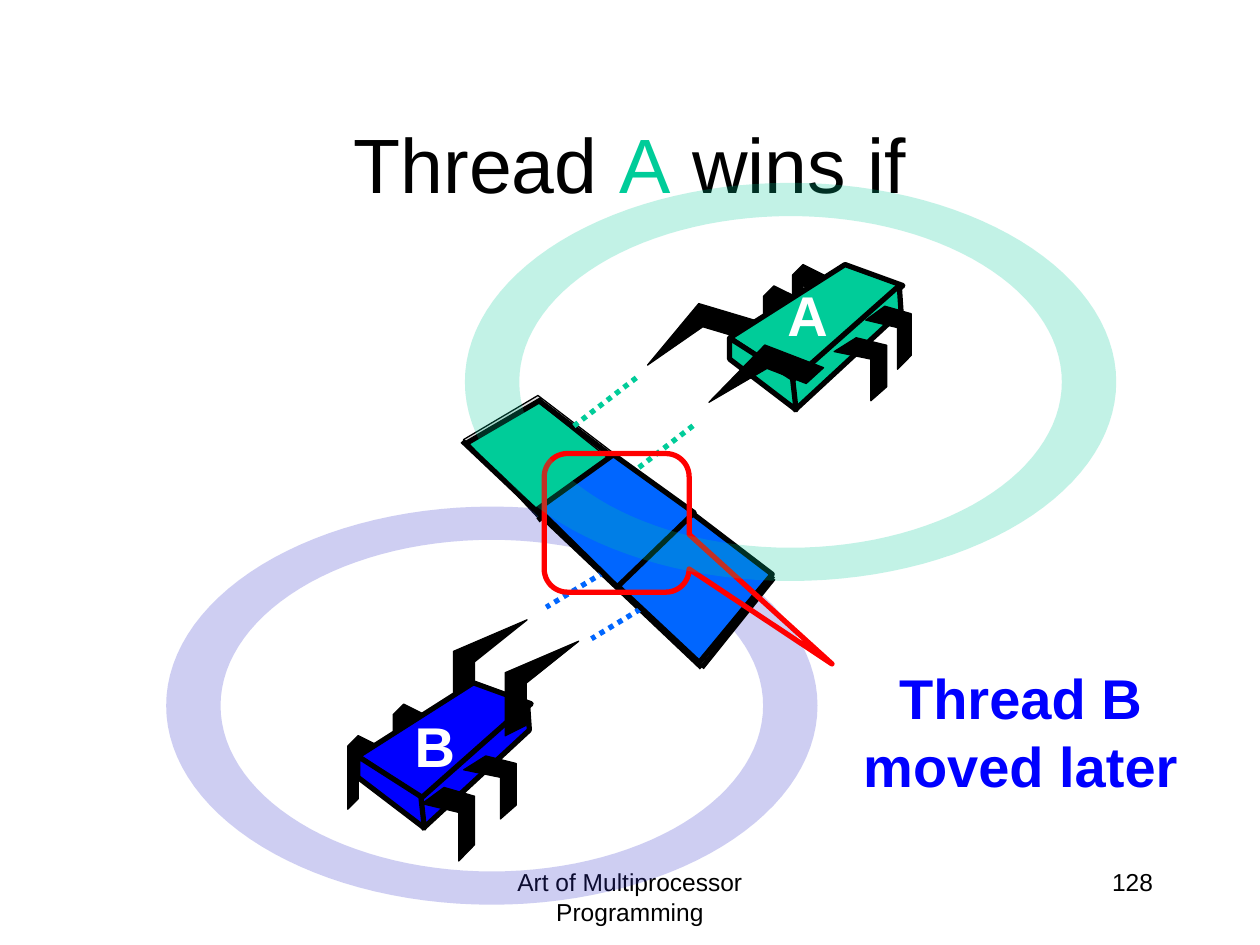
"""Builds the slide that shows when thread A wins."""
import math

from lxml import etree
from pptx import Presentation
from pptx import util as u
from pptx.dml.color import RGBColor
from pptx.enum import dml, shapes, text
from pptx.oxml.ns import qn

COLORS = {"green": "00CC99", "blue": "0066FF", "deep": "0000FF", "navy": "3333CC",
          "gray": "DDDDDD", "black": "000000", "white": "FFFFFF", "red": "FF0000"}
ALIGN = text.PP_ALIGN

BODY = [[(66, 0), (0, 42), (37.5, 67), (99, 12)],
        [(97, 12), (36, 66), (37.5, 83), (98, 27)],
        [(0, 42), (0, 54), (38, 83), (36, 65)]]
BACK_LEG = [(18, 6), (6, 0), (0, 6), (0, 42), (6, 36), (6, 12), (18, 18)]
FRONT_LEG = [(0.42, 0), (0, 0.22), (0.7, 0.34), (0.7, 1), (1, 0.78), (1, 0.12)]
CLAW = [(0, 54), (12, 48), (12, 24), (42, 0), (0, 18)]

BASE_CELLS = [
    ("gray", [(43.2, 0), (0.7, 25.2), (134.6, 151.2), (177.1, 102.2)]),
    ("green", [(44.6, 67.7), (90, 112.3), (133.2, 69.8), (87.8, 36.7)]),
    ("green", [(43.2, 3.6), (2.9, 26.6), (43.2, 69.8), (86.4, 38.2)]),
    ("gray", [(132.5, 69.8), (88.6, 110.9), (137.5, 151.2), (177.8, 105.1)])]
TAKEN_CELLS = [
    ("blue", [(87.8, 108), (135.4, 152.6), (177.1, 102.2), (131, 67)]),
    ("blue", [(43.2, 64.8), (88.6, 109.4), (132.5, 67), (86.4, 33.8)])]
EDGES = [((0, 26), (136.8, 155.5)), ((44.6, 3.6), (177.8, 105.1)),
         ((2.2, 27.4), (45.4, 2.2)), ((136.8, 155.5), (177.8, 104.4)),
         ((90, 110.9), (134.6, 71.3)), ((43.2, 71.3), (87.8, 38.2))]
TETHERS = [("green", (99.4, -10.1), (-50.4, 38.9)), ("green", (131.8, 17.3), (-50.4, 38.9)),
           ("blue", (101.5, 88.6), (-53.6, 32.4)), ("blue", (127.4, 106.6), (-53.6, 32.4))]


def rgb(name):
    """Return the named color."""
    return RGBColor.from_string(COLORS[name])


def shift(points, left, top):
    """Move points by an offset and turn them into lengths."""
    return [(u.Pt(left + x), u.Pt(top + y)) for x, y in points]


def outline(parent, contours, fill, width):
    """Draw closed contours as one filled shape."""
    builder = parent.shapes.build_freeform(*contours[0][0], scale=1.0)
    for index, contour in enumerate(contours):
        if index:
            builder.move_to(*contour[0])
        builder.add_line_segments(contour[1:], close=True)
    shape = builder.convert_to_shape()
    shape.shadow.inherit = False
    shape.fill.solid()
    shape.fill.fore_color.rgb = rgb(fill)
    if width:
        shape.line.width = u.Pt(width)
        shape.line.color.rgb = rgb("black")
    else:
        shape.line.fill.background()
    return shape


def segment(page, start, end, color, dash=None):
    """Draw a straight line between two points."""
    line = page.shapes.add_connector(shapes.MSO_CONNECTOR.STRAIGHT, *start, *end)
    line.line.width = u.Pt(3)
    line.line.color.rgb = rgb(color)
    line.line.dash_style = dash
    etree.SubElement(line.element.spPr, qn("a:effectLst"))


def add_span(para, words, size, color, bold=False):
    """Add formatted words to a paragraph."""
    span = para.add_run()
    span.text = words
    for key, value in {"name": "Arial", "size": u.Pt(size), "bold": bold}.items():
        setattr(span.font, key, value)
    span.font.color.rgb = rgb(color)


def label(page, box, words, size, color, align, bold=False, wrap=True):
    """Place a text box."""
    frame = page.shapes.add_textbox(*map(u.Pt, box)).text_frame
    frame.word_wrap = wrap
    frame.paragraphs[0].alignment = align
    add_span(frame.paragraphs[0], words, size, color, bold)


def heading(page, box):
    """Fill and place the title."""
    title = page.shapes.title
    for key, value in zip(("left", "top", "width", "height"), box):
        setattr(title, key, u.Pt(value))
    frame = title.text_frame
    formats = {"word_wrap": True, "auto_size": text.MSO_AUTO_SIZE.NONE,
               "vertical_anchor": text.MSO_ANCHOR.MIDDLE}
    for key, value in formats.items():
        setattr(frame, key, value)
    para = frame.paragraphs[0]
    para.alignment = ALIGN.CENTER
    for words, color in (("Thread ", "black"), ("A", "green"), (" wins if", "black")):
        add_span(para, words, 44, color)


def ring(page, box, color):
    """Draw a translucent elliptical ring that fills the box."""
    left, top, width, height = box
    turns = [math.tau * step / 120 for step in range(120)]
    contours = []
    for scale, direction in ((1, 1), (0.833, -1)):
        points = [(width / 2 * (1 + scale * math.cos(turn)),
                   height / 2 * (1 + scale * direction * math.sin(turn))) for turn in turns]
        contours.append(shift(points, left, top))
    shape = outline(page, contours, color, 0)
    tint = shape.element.spPr.find(".//" + qn("a:srgbClr"))
    etree.SubElement(tint, qn("a:alpha"), val="24000")


def spider(page, left, top, color, claws, back_legs, front_legs):
    """Draw a six-legged thread creature with its body at the given corner."""
    group = page.shapes.add_group_shape()

    def claw(x, y, angle):
        points = [(42 - px, py) if angle else (px, py) for px, py in CLAW]
        outline(group, [shift(points, left + x, top + y)], "black", 0.75).rotation = angle

    claw(*claws[0])
    for x, y in back_legs:
        outline(group, [shift(BACK_LEG, left + x, top + y)], "black", 0.75)
    for face in BODY:
        outline(group, [shift(face, left, top)], color, 3)
    for x, y, width, height in front_legs:
        points = [(px * width, py * height) for px, py in FRONT_LEG]
        outline(group, [shift(points, left + x, top + y)], "black", 0.75)
    claw(*claws[1])


def board_cells(page, left, top, cells, width):
    """Draw the cells of the tilted board."""
    for color, points in cells:
        outline(page, [shift(points, left, top)], color, width)


def board_lines(page, left, top):
    """Draw the board's edges and the dotted tethers of both threads."""
    for ends in EDGES:
        segment(page, *shift(ends, left, top), "black")
    for color, (x, y), (across, down) in TETHERS:
        ends = shift([(x, y), (x + across, y + down)], left, top)
        segment(page, *ends, color, dml.MSO_LINE.ROUND_DOT)


def callout(page, box):
    """Draw the red callout frame."""
    shape = page.shapes.add_shape(shapes.MSO_SHAPE.ROUNDED_RECTANGULAR_CALLOUT, *map(u.Pt, box))
    for index, value in enumerate((1.486, 1.018, 0.167)):
        shape.adjustments[index] = value
    shape.shadow.inherit = False
    shape.fill.background()
    shape.line.width = u.Pt(3)
    shape.line.color.rgb = rgb("red")


def main():
    """Build and save the deck."""
    deck = Presentation()
    deck.slide_width, deck.slide_height = u.Pt(720), u.Pt(540)
    page = deck.slides.add_slide(deck.slide_layouts[5])
    board = (264.2, 226)
    label(page, (246, 492, 228, 36), "Art of Multiprocessor Programming", 14, "black", ALIGN.CENTER)
    label(page, (516, 492, 150, 36), "128", 14, "black", ALIGN.RIGHT)
    heading(page, (54, 48, 612, 90))
    board_cells(page, *board, BASE_CELLS, 0.75)
    ring(page, (95, 289.5, 372.2, 227.5), "navy")
    spider(page, 204.5, 390.2, "deep", [(54.7, -36, 0), (84.2, -23.8, 0)],
           [(-5.8, 30.2), (20.2, 12.2)], [(36.7, 59.8, 30, 42), (60.5, 41.8, 30, 36)])
    spider(page, 416.9, 151.2, "green", [(-36, 18, 286.6), (0, 41.8, 291.1)],
           [(36, 0), (19.4, 12.2)], [(77.8, 23.8, 26, 36), (59.8, 41.8, 30, 36)])
    board_lines(page, *board)
    label(page, (442.8, 157, 37.4, 46), "A", 32, "white", ALIGN.RIGHT, True, False)
    label(page, (229.7, 403.2, 37.4, 46), "B", 32, "white", ALIGN.RIGHT, True, False)
    board_cells(page, *board, TAKEN_CELLS, 3)
    label(page, (468.7, 375.8, 229, 84.2), "Thread B moved later", 32, "deep", ALIGN.CENTER, True)
    callout(page, (311, 259.2, 82.8, 79.2))
    ring(page, (265.7, 104.5, 372.2, 227.5), "green")
    deck.save("out.pptx")


if __name__ == "__main__":
    main()
